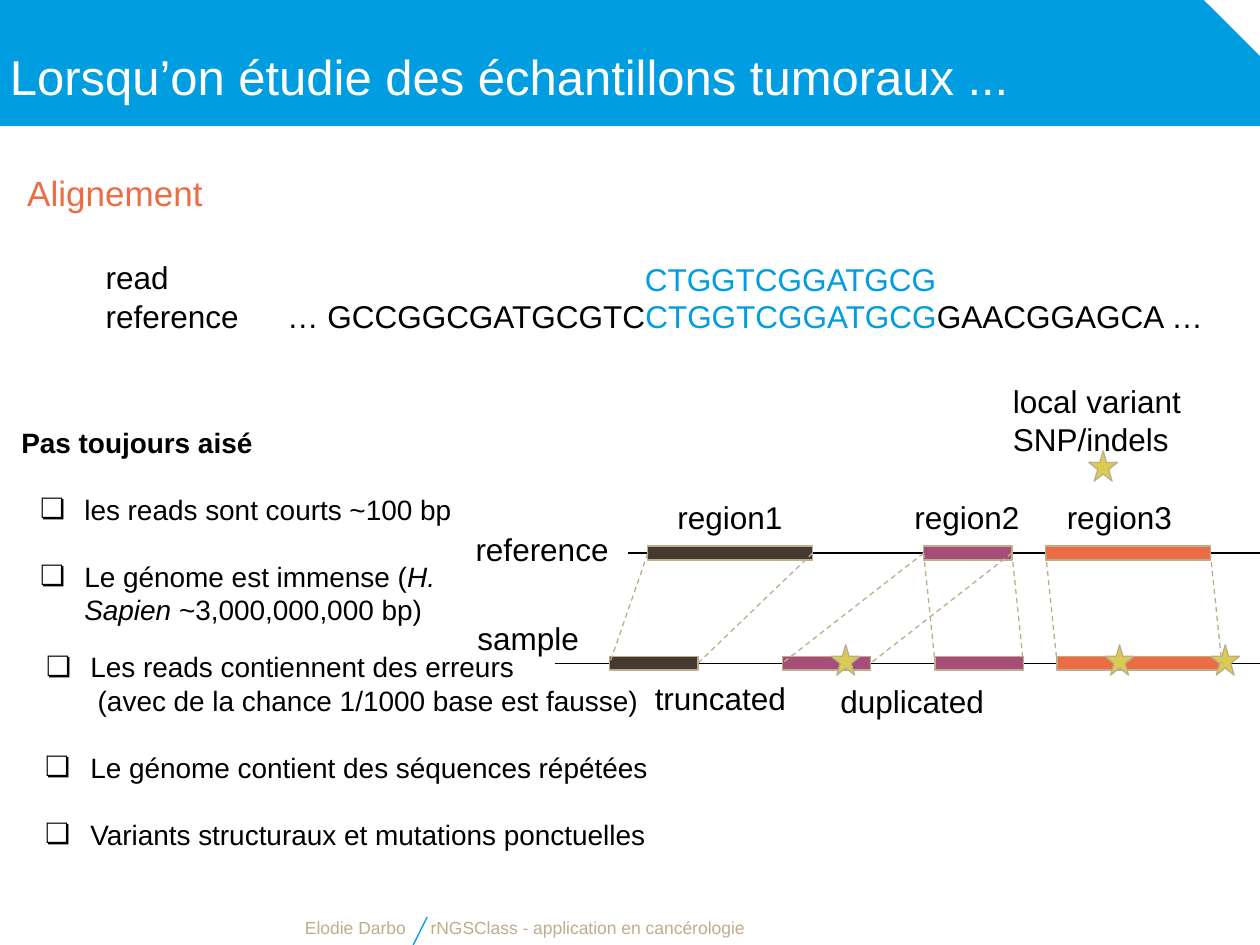
import pptx
import pptx.util
import pptx.dml.color
import pptx.enum.dml
import pptx.enum.shapes
import pptx.enum.text
from lxml import etree

Cm, Pt = pptx.util.Cm, pptx.util.Pt
RGBColor = pptx.dml.color.RGBColor
SHAPE = pptx.enum.shapes.MSO_SHAPE
ALIGN = pptx.enum.text.PP_ALIGN
ANCHOR = pptx.enum.text.MSO_ANCHOR

BLUE = RGBColor(0x00, 0x9D, 0xE0)
WHITE = RGBColor(0xFF, 0xFF, 0xFF)
BLACK = RGBColor(0x00, 0x00, 0x00)
BROWN = RGBColor(0x44, 0x3A, 0x31)
PURPLE = RGBColor(0xA6, 0x4D, 0x79)
ORANGE = RGBColor(0xEC, 0x6C, 0x43)
YELLOW = RGBColor(0xDA, 0xCC, 0x52)
SAND = RGBColor(0xBE, 0xAD, 0x8A)

FONT = "Arial"
INSET = 0.25
LIST_GAP = 19
LEFT_SIDE, RIGHT_SIDE = 1, 3


def place(shape, left, top, width, height):
    shape.left, shape.top = Cm(left), Cm(top)
    shape.width, shape.height = Cm(width), Cm(height)


def prepare_frame(frame, anchor=ANCHOR.TOP, inset_y=INSET):
    frame.word_wrap = True
    frame.auto_size = pptx.enum.text.MSO_AUTO_SIZE.NONE
    frame.vertical_anchor = anchor
    frame.margin_left = frame.margin_right = Cm(INSET)
    frame.margin_top = frame.margin_bottom = Cm(inset_y)


def style_run(run, size, color, bold=False, italic=False):
    run.font.name, run.font.size = FONT, Pt(size)
    run.font.color.rgb = color
    run.font.bold, run.font.italic = bold, italic


def add_label(slide, box, text, size=18, color=BLACK, align=ALIGN.LEFT,
              anchor=ANCHOR.TOP, inset_y=INSET):
    frame = slide.shapes.add_textbox(*map(Cm, box)).text_frame
    prepare_frame(frame, anchor, inset_y)
    frame.text = text
    frame.paragraphs[0].alignment = align
    style_run(frame.paragraphs[0].runs[0], size, color)
    return frame.paragraphs[0]


def add_filled(slide, kind, box, fill, outline=SAND):
    shape = slide.shapes.add_shape(kind, *map(Cm, box))
    shape.shadow.inherit = False
    shape.fill.solid()
    shape.fill.fore_color.rgb = fill
    if outline is None:
        shape.line.fill.background()
    else:
        shape.line.color.rgb = outline
        shape.line.width = Pt(0.75)
    return shape


def add_line(slide, start, end, color):
    line = slide.shapes.add_connector(
        pptx.enum.shapes.MSO_CONNECTOR.STRAIGHT, *map(Cm, (*start, *end)))
    line.line.color.rgb = color
    line.line.width = Pt(0.75)
    etree.SubElement(line.element.spPr, pptx.oxml.ns.qn("a:effectLst"))
    return line


def set_bullet(paragraph, bullet, margin, hanging):
    properties = paragraph._p.get_or_add_pPr()
    properties.set("marL", str(Cm(margin)))
    properties.set("indent", str(-Cm(hanging)))
    qn = pptx.oxml.ns.qn
    if not bullet:
        etree.SubElement(properties, qn("a:buNone"))
        return
    bullet_color = etree.SubElement(properties, qn("a:buClr"))
    etree.SubElement(bullet_color, qn("a:srgbClr"), val=str(BLACK))
    etree.SubElement(properties, qn("a:buFont"), typeface=FONT)
    etree.SubElement(properties, qn("a:buChar"), char=bullet)


def add_header(slide, box):
    left, top, width, height = box
    banner = add_filled(slide, SHAPE.SNIP_1_RECTANGLE, box, BLUE, None)
    banner.adjustments[0] = 0.458
    title = slide.shapes.title
    title.element.addprevious(banner.element)
    place(title, left - 0.05, top + 0.58, width - 1.3, 1.9)
    prepare_frame(title.text_frame, ANCHOR.MIDDLE)
    title.text_frame.text = "Lorsqu’on étudie des échantillons tumoraux ..."
    paragraph = title.text_frame.paragraphs[0]
    paragraph.alignment = ALIGN.LEFT
    style_run(paragraph.runs[0], 28, WHITE)


def add_alignment(slide, left, top):
    """Read aligned below its name, over the reference sequence."""
    read = "CTGGTCGGATGCG"
    add_label(slide, (left, top, 2.62, 1.24), "read")
    add_label(slide, (left, top + 0.79, 3.66, 1.24), "reference")
    add_label(slide, (left + 10.87, top + 0.05, 7.04, 0.94), read, color=BLUE)
    sequence = add_label(slide, (left + 3.66, top + 0.79, 19.1, 1.24),
                         "… GCCGGCGATGCGTC")
    for text, color in ((read, BLUE), ("GAACGGAGCA …", BLACK)):
        run = sequence.add_run()
        run.text = text
        style_run(run, 18, color)


def fill_list(body, box, items):
    """Items are (segments, bullet, margin, hanging, gap before in points)."""
    place(body, *box)
    frame = body.text_frame
    prepare_frame(frame)
    for index, (segments, bullet, margin, hanging, gap) in enumerate(items):
        paragraph = frame.add_paragraph() if index else frame.paragraphs[0]
        set_bullet(paragraph, bullet, margin, hanging)
        paragraph.space_before = Pt(gap)
        paragraph.alignment = ALIGN.LEFT
        for text, style in segments:
            run = paragraph.add_run()
            run.text = text
            style_run(run, 16, BLACK, **style)


def add_variant_map(slide, left, top):
    """Reference regions linked to where they land in the sample."""
    reference_y, sample_y = top + 3.35, top + 5.57
    bar_height = 0.28

    def add_bars(y, bars):
        return [add_filled(slide, SHAPE.RECTANGLE,
                           (left + x, y - bar_height / 2, width, bar_height), color)
                for x, width, color in bars]

    # Genome tracks
    add_line(slide, (left + 3.65, reference_y), (left + 16.48, reference_y), BLACK)
    regions = add_bars(reference_y, [
        (4.06, 3.32, BROWN), (9.62, 1.78, PURPLE), (12.08, 3.32, ORANGE)])
    add_line(slide, (left + 2.18, sample_y), (left + 16.7, sample_y), BLACK)
    truncated, duplicate, kept, shifted = add_bars(sample_y, [
        (3.29, 1.78, BROWN), (6.77, 1.78, PURPLE),
        (9.85, 1.78, PURPLE), (12.31, 3.32, ORANGE)])

    # Local variants
    for x, y in ((7.76, 5.2), (13.28, 5.2), (15.41, 5.2), (12.95, 1.29)):
        add_filled(slide, SHAPE.STAR_5_POINT, (left + x, top + y, 0.58, 0.61), YELLOW)

    # Links between matching ends
    region1, region2, region3 = regions
    for region, copy_in_sample in ((region1, truncated), (region2, duplicate),
                                   (region2, kept), (region3, shifted)):
        for side in (LEFT_SIDE, RIGHT_SIDE):
            link = add_line(slide, (left, top), (left, top), SAND)
            link.line.dash_style = pptx.enum.dml.MSO_LINE.DASH
            link.begin_connect(region, side)
            link.end_connect(copy_in_sample, side)

    # Labels
    for text, x, y, width, height, align in (
            ("region1", 4.18, 2.16, 3.07, 0.94, ALIGN.CENTER),
            ("region2", 8.96, 2.16, 3.07, 0.94, ALIGN.CENTER),
            ("region3", 12.03, 2.16, 3.07, 0.94, ALIGN.CENTER),
            ("reference", 0.14, 2.87, 3.38, 0.79, ALIGN.RIGHT),
            ("sample", 0.02, 4.75, 2.9, 0.61, ALIGN.RIGHT),
            ("truncated", 3.95, 5.81, 3.4, 0.91, ALIGN.LEFT),
            ("duplicated", 7.69, 6.02, 4.34, 0.61, ALIGN.LEFT),
            ("local variant SNP/indels", 11.17, 0.05, 3.91, 1.24, ALIGN.LEFT)):
        add_label(slide, (left + x, top + y, width, height), text,
                  align=align, anchor=ANCHOR.MIDDLE)


def add_footer(slide, left, top, height):
    split = left + 7.16
    add_line(slide, (split - 0.1, top + height), (split + 0.18, top), BLUE)
    for box, text, align in (
            ((left, top, 7.16, height), "Elodie Darbo", ALIGN.RIGHT),
            ((split, top, 14.6, height),
             "rNGSClass - application en cancérologie", ALIGN.LEFT)):
        add_label(slide, box, text, 10, SAND, align, ANCHOR.BOTTOM, 0.13)


def main():
    deck = pptx.Presentation()
    deck.slide_width, deck.slide_height = Cm(25.4), Cm(19.05)
    slide = deck.slides.add_slide(deck.slide_layouts[3])

    add_header(slide, (0, 0, 25.43, 2.54))
    add_variant_map(slide, 9, 7.8)
    add_alignment(slide, 1.88, 4.95)
    add_label(slide, (0.3, 3.2, 24, 1.52), "Alignement", 20, ORANGE)

    # Difficulties, in two lists
    fill_list(slide.placeholders[1], (0.18, 8.33, 9.55, 4.88), [
        ([("Pas toujours aisé", {"bold": True})], None, 0, 0, 0),
        ([("les reads sont courts ~100 bp", {})], "❏", 1.27, 0.89, LIST_GAP),
        ([("Le génome est immense (", {}), ("H. Sapien", {"italic": True}),
          (" ~3,000,000,000 bp)", {})], "❏", 1.27, 0.89, LIST_GAP)])
    fill_list(slide.placeholders[2], (0.3, 12.85, 14.07, 5.94), [
        ([("Les reads contiennent des erreurs", {})], "❏", 1.27, 0.89, 0),
        ([("(avec de la chance 1/1000 base est fausse)", {})], None, 1.42, 0, 0),
        ([("Le génome contient des séquences répétées", {})],
         "❏", 1.27, 0.91, LIST_GAP),
        ([("Variants structuraux et mutations ponctuelles", {})],
         "❏", 1.27, 0.91, LIST_GAP)])

    add_footer(slide, 1.27, 18.49, 0.56)
    deck.save("out.pptx")


if __name__ == "__main__":
    main()
